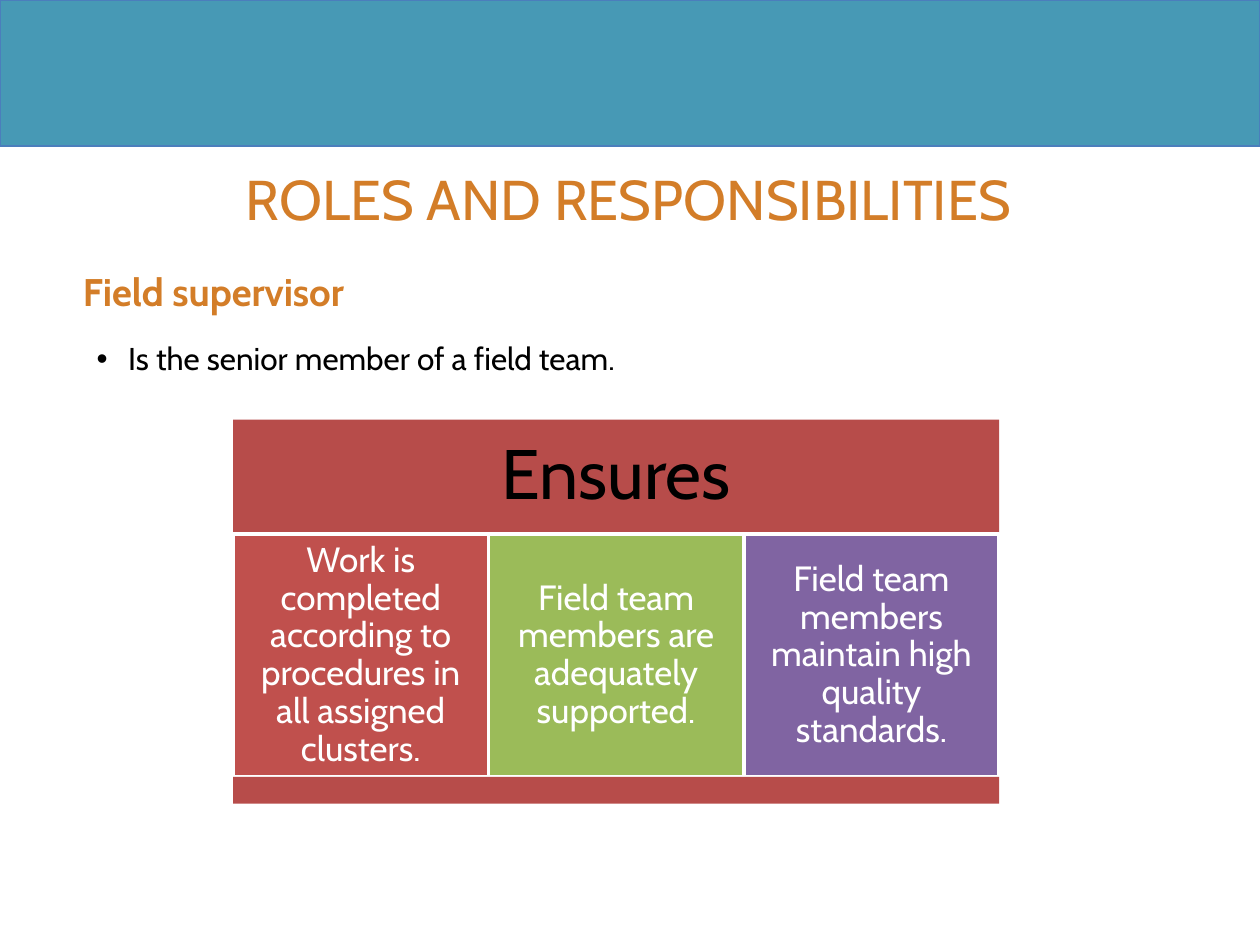
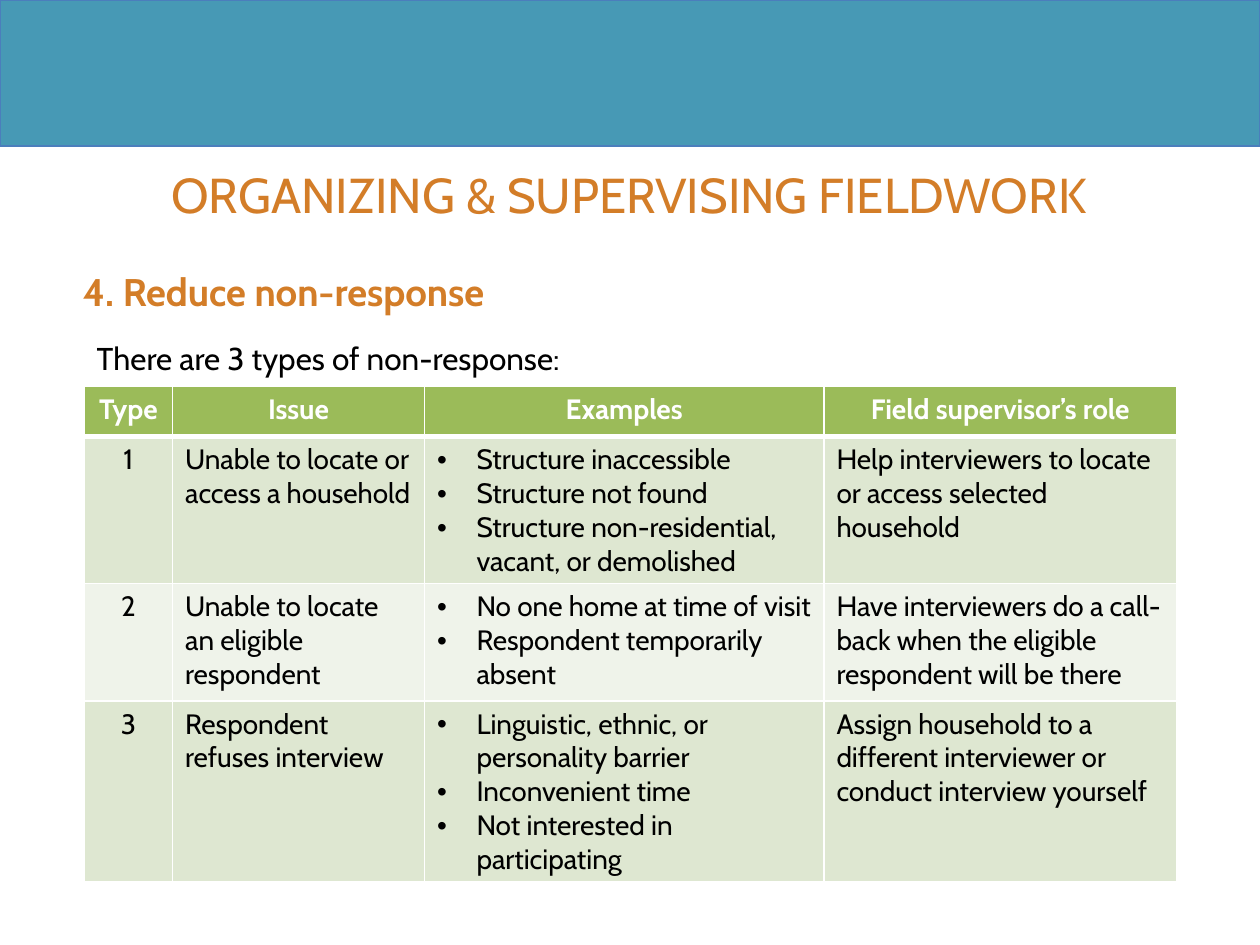
from dataclasses import dataclass
from lxml.etree import SubElement as Sub
from pptx import Presentation as Deck
from pptx.dml.color import RGBColor as Color
from pptx.enum.shapes import MSO_SHAPE as Form
from pptx.enum.text import MSO_ANCHOR as Anchor, PP_ALIGN as Align
from pptx.oxml.ns import qn
from pptx.util import Pt

ROLES = {
    "title": "ROLES AND RESPONSIBILITIES",
    "head": "Field supervisor",
    "lead": "Is the senior member of a field team.",
}
GOAL = "Ensures"
DUTIES = [
    ("Work is completed according to procedures in all assigned clusters.", "C0504D"),
    ("Field team members are adequately supported.", "9BBB59"),
    ("Field team members maintain high quality standards.", "8064A2"),
]
FIELD = {
    "title": "ORGANIZING & SUPERVISING FIELDWORK",
    "head": "4. Reduce non-response",
    "lead": "There are 3 types of non-response:",
}
HEADS = ["Type", "Issue", "Examples", "Field supervisor’s role"]
CASES = [
    ("1", "Unable to locate or access a household",
     ["Structure inaccessible", "Structure not found",
      "Structure non-residential, vacant, or demolished"],
     "Help interviewers to locate or access selected household"),
    ("2", "Unable to locate an eligible respondent",
     ["No one home at time of visit", "Respondent temporarily absent"],
     "Have interviewers do a call-back when the eligible respondent will be there"),
    ("3", "Respondent refuses interview",
     ["Linguistic, ethnic, or personality barrier", "Inconvenient time",
      "Not interested in participating"],
     "Assign household to a different interviewer or conduct interview yourself"),
]
WIDTHS = [50.4, 144, 228.24, 201.6]
HEIGHTS = [29, 84, 67, 103]


@dataclass(frozen=True)
class Theme:
    font: str = "Cabin"
    band: str = "4799B5"
    edge: str = "4B7EBC"
    accent: str = "D37D28"
    ink: str = "000000"
    white: str = "FFFFFF"
    brick: str = "B74C4A"
    green: str = "9BBB59"
    rows: tuple = ("DEE7D1", "EFF3EA")
    head: int = 22
    lead: int = 18
    goal: int = 40
    duty: int = 20
    cell: int = 16


LOOK = Theme()


def write(frame, text, size, color=LOOK.ink, bold=False, align=Align.LEFT,
          lines=None, hang=0):
    items = text if isinstance(text, list) else [text]
    for spot, item in enumerate(items):
        para = frame.add_paragraph() if spot else frame.paragraphs[0]
        para.alignment = align
        if lines:
            para.line_spacing = lines
        if hang:
            props = para._p.get_or_add_pPr()
            props.set("marL", str(Pt(hang)))
            props.set("indent", str(-Pt(hang)))
            Sub(props, qn("a:buFont"), typeface="Arial")
            Sub(props, qn("a:buChar"), char="•")
        run = para.add_run()
        run.text = item
        font = run.font
        font.name, font.size, font.bold = LOOK.font, Pt(size), bold
        font.color.rgb = Color.from_string(color)


def inset(frame, left, top, right, low):
    frame.margin_left, frame.margin_top = Pt(left), Pt(top)
    frame.margin_right, frame.margin_bottom = Pt(right), Pt(low)


def label(slide, box, text, size, **form):
    frame = slide.shapes.add_textbox(*map(Pt, box)).text_frame
    frame.word_wrap = True
    write(frame, text, size, **form)
    return frame


def block(slide, box, fill, edge=None, width=0, pad=0):
    shape = slide.shapes.add_shape(Form.RECTANGLE, *map(Pt, box))
    shape.shadow.inherit = False
    shape.fill.solid()
    shape.fill.fore_color.rgb = Color.from_string(fill)
    if edge:
        shape.line.color.rgb = Color.from_string(edge)
        shape.line.width = Pt(width)
    else:
        shape.line.fill.background()
    frame = shape.text_frame
    frame.word_wrap = True
    frame.vertical_anchor = Anchor.MIDDLE
    inset(frame, pad, pad, pad, pad)
    return frame


def start(deck, words, size, hang=0):
    slide = deck.slides.add_slide(deck.slide_layouts[6])
    block(slide, (0, 0, 720, 83.5), LOOK.band, LOOK.edge, 0.75)
    title = label(slide, (35.3, 90.7, 648, 46.8), words["title"], size,
                  color=LOOK.accent, align=Align.CENTER)
    inset(title, 7.2, 3.6, 7.2, 0)
    label(slide, (48.2, 187.9, 638, 36), words["lead"], LOOK.lead,
          lines=Pt(24), hang=hang)
    label(slide, (40.3, 149.8, 642, 35.3), words["head"], LOOK.head,
          color=LOOK.accent, bold=True)
    return slide


def chart(slide):
    left, top, wide = 133.2, 239.8, 437.8
    tall, mid, low = 65.5, 138.6, 15.4
    goal = block(slide, (left, top, wide, tall), LOOK.brick, pad=12.2)
    write(goal, GOAL, LOOK.goal, align=Align.CENTER, lines=0.9)
    step = wide / len(DUTIES)
    for spot, (text, fill) in enumerate(DUTIES):
        box = (left + spot * step, top + tall, step, mid)
        duty = block(slide, box, fill, LOOK.white, 2, pad=5.8)
        write(duty, text, LOOK.duty, color=LOOK.white,
              align=Align.CENTER, lines=0.9)
    block(slide, (left, top + tall + mid, wide, low), LOOK.brick)


def border(cell, low):
    props = cell._tc.get_or_add_tcPr()
    sides = {"lnL": 1, "lnR": 1, "lnT": 1, "lnB": low}
    for spot, (side, width) in enumerate(sides.items()):
        line = props.makeelement(qn("a:" + side), {"w": str(Pt(width))})
        Sub(Sub(line, qn("a:solidFill")), qn("a:srgbClr"), val=LOOK.white)
        props.insert(spot, line)


def grid(slide):
    rows = [HEADS, *CASES]
    box = (48.2, 220.5, sum(WIDTHS), sum(HEIGHTS))
    table = slide.shapes.add_table(len(rows), len(HEADS), *map(Pt, box)).table
    for col, width in zip(table.columns, WIDTHS):
        col.width = Pt(width)
    for r, (row, height) in enumerate(zip(rows, HEIGHTS)):
        table.rows[r].height = Pt(height)
        top = r == 0
        fill = LOOK.green if top else LOOK.rows[(r - 1) % 2]
        for c, text in enumerate(row):
            cell = table.cell(r, c)
            cell.fill.solid()
            cell.fill.fore_color.rgb = Color.from_string(fill)
            border(cell, 3 if top else 1)
            write(cell.text_frame, text, LOOK.cell, bold=top,
                  color=LOOK.white if top else LOOK.ink,
                  align=Align.CENTER if top or c == 0 else Align.LEFT,
                  hang=22.5 if isinstance(text, list) else 0)
            if r > 1:
                continue
            if not top:
                side = cell._tc.tcPr.find(qn("a:lnT"))
                side.set("w", str(Pt(3)))


def main():
    deck = Deck()
    deck.slide_width, deck.slide_height = Pt(720), Pt(540)
    chart(start(deck, ROLES, 32, hang=18))
    grid(start(deck, FIELD, 28))
    deck.save("out.pptx")


if __name__ == "__main__":
    main()
